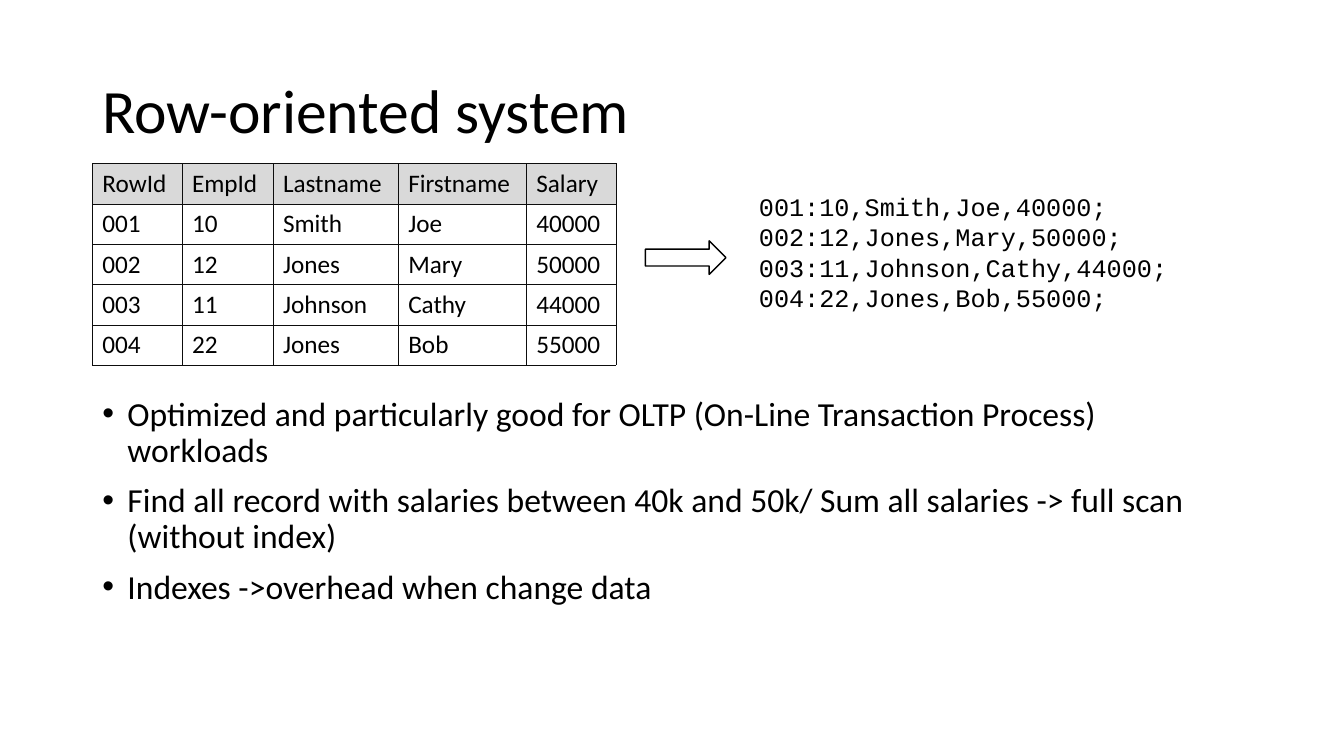
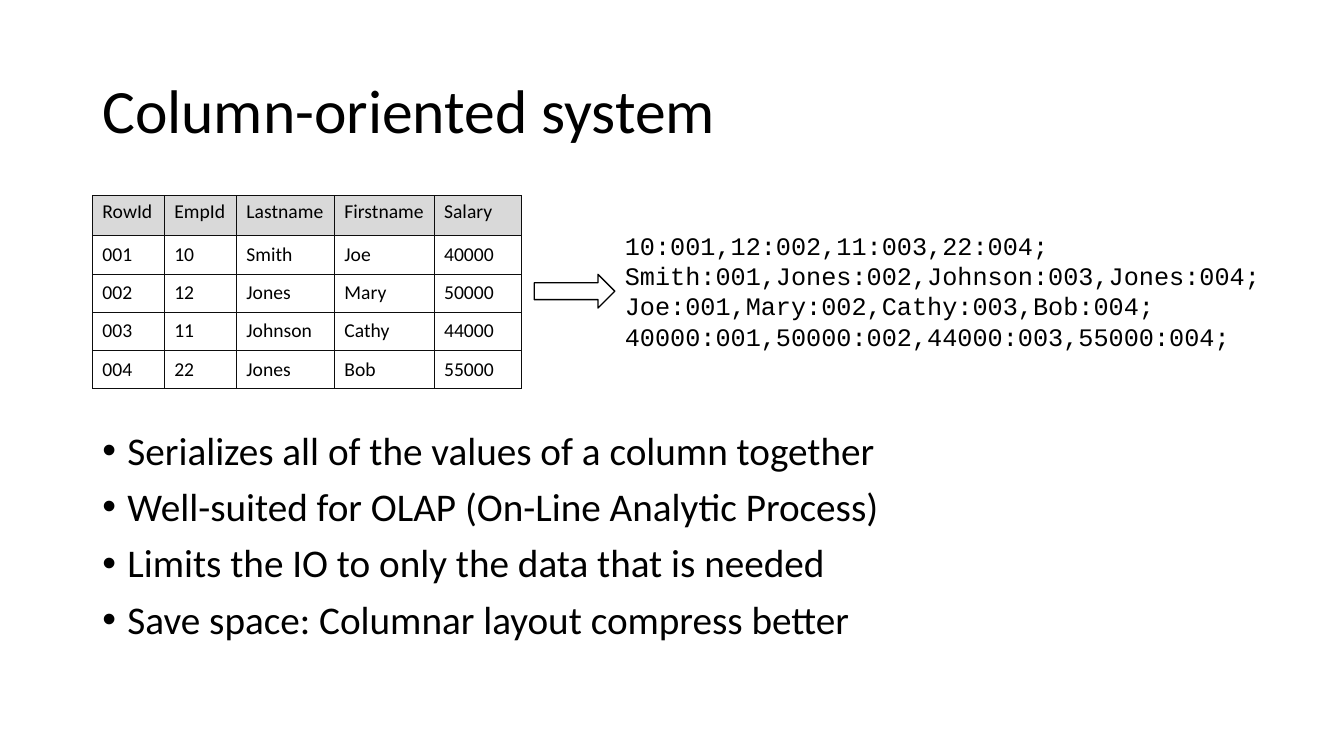
"""Build two slides that compare row-oriented and column-oriented storage."""
from lxml.etree import SubElement
from pptx import Presentation
from pptx.dml.color import RGBColor
from pptx.enum.shapes import MSO_SHAPE as Preset
from pptx.enum.text import MSO_ANCHOR as Anchor, MSO_AUTO_SIZE as AutoSize
from pptx.oxml import parse_xml
from pptx.oxml.ns import nsdecls, qn
from pptx.util import Pt

BLACK, WHITE, HEADER_FILL, GRID = "000000", "FFFFFF", "D9D9D9", "0D0D0D"
SANS, MONO = "Calibri", "Courier New"
MARGIN, CONTENT_WIDTH, BODY_BOTTOM = 66, 828, 486
HEADER_HEIGHT, ROW_HEIGHT = 28.8, 27.3
ARROW_SIZE = (57.6, 24)
PROSE = {"line_spacing": 0.9}
BULLETED = {"line_spacing": 0.9, "space_before": Pt(10)}

EMPLOYEES = [
    ("RowId", "EmpId", "Lastname", "Firstname", "Salary"),
    ("001", "10", "Smith", "Joe", "40000"),
    ("002", "12", "Jones", "Mary", "50000"),
    ("003", "11", "Johnson", "Cathy", "44000"),
    ("004", "22", "Jones", "Bob", "55000"),
]

SLIDES = [
    {
        "title": "Row-oriented system",
        "table": {"top": 116.8, "size": 18, "widths": (64, 65, 89.5, 91.5, 64)},
        "arrow": (461, 172),
        "records": {
            "box": (535, 133.2, 307.5, 94.3),
            "lines": [
                "001:10,Smith,Joe,40000;",
                "002:12,Jones,Mary,50000;",
                "003:11,Johnson,Cathy,44000;",
                "004:22,Jones,Bob,55000;",
            ],
        },
        "bullets": {
            "top": 280,
            "size": 24,
            "lines": [
                "Optimized and particularly good for OLTP (On-Line Transaction Process) workloads",
                "Find all record with salaries between 40k and 50k/ Sum all salaries -> full scan (without index)",
                "Indexes ->overhead when change data",
            ],
        },
    },
    {
        "title": "Column-oriented system",
        "table": {"top": 139.5, "size": 14, "widths": (51.3, 51.6, 70, 71.2, 62)},
        "arrow": (381.6, 196),
        "records": {
            "box": (439.2, 160.8, 470, 94.3),
            "lines": [
                "10:001,12:002,11:003,22:004;",
                "Smith:001,Jones:002,Johnson:003,Jones:004;",
                "Joe:001,Mary:002,Cathy:003,Bob:004;",
                "40000:001,50000:002,44000:003,55000:004;",
            ],
        },
        "bullets": {
            "top": 304.5,
            "size": 28,
            "lines": [
                "Serializes all of the values of a column together",
                "Well-suited for OLAP (On-Line Analytic Process)",
                "Limits the IO to only the data that is needed",
                "Save space: Columnar layout compress better",
            ],
        },
    },
]


def color(value):
    """Turn a hex string into a colour."""
    return RGBColor.from_string(value)


def points(*lengths):
    """Turn numbers into lengths in points."""
    return [Pt(length) for length in lengths]


def apply_format(target, values):
    """Set each attribute named in a dict of format values."""
    for name, value in values.items():
        setattr(target, name, value)


def write_lines(frame, lines, font_name, size, paragraph_format):
    """Write one formatted paragraph per line and return the paragraphs."""
    for index, line in enumerate(lines):
        paragraph = frame.paragraphs[0] if index == 0 else frame.add_paragraph()
        apply_format(paragraph, paragraph_format)
        run = paragraph.add_run()
        run.text = line
        apply_format(run.font, {"name": font_name, "size": Pt(size)})
        run.font.color.rgb = color(BLACK)
    return frame.paragraphs


def add_text(slide, box, lines, font_name, size, frame_format, paragraph_format):
    """Add a text box and return its paragraphs."""
    frame = slide.shapes.add_textbox(*points(*box)).text_frame
    apply_format(frame, frame_format)
    return write_lines(frame, lines, font_name, size, paragraph_format)


def add_title(slide, text):
    """Add the title that heads each slide."""
    frame_format = {"word_wrap": True, "vertical_anchor": Anchor.MIDDLE}
    box = (MARGIN, 28.8, CONTENT_WIDTH, 104.4)
    add_text(slide, box, [text], SANS, 44, frame_format, PROSE)


def add_bullets(slide, top, size, lines):
    """Add the bulleted list that ends at the common bottom edge."""
    box = (MARGIN, top, CONTENT_WIDTH, BODY_BOTTOM - top)
    for paragraph in add_text(slide, box, lines, SANS, size, {"word_wrap": True}, BULLETED):
        properties = paragraph._p.get_or_add_pPr()
        properties.set("marL", str(Pt(18)))
        properties.set("indent", str(Pt(-18)))
        SubElement(properties, qn("a:buFont"), typeface="Arial")
        SubElement(properties, qn("a:buChar"), char="•")


def add_records(slide, box, lines):
    """Add the serialized records in a monospaced font."""
    frame_format = {"word_wrap": False, "auto_size": AutoSize.SHAPE_TO_FIT_TEXT}
    add_text(slide, box, lines, MONO, 18, frame_format, {})


def add_borders(cell):
    """Draw a thin line on all four sides of a cell."""
    properties = cell._tc.get_or_add_tcPr()
    for index, side in enumerate("LRTB"):
        properties.insert(index, parse_xml(
            f'<a:ln{side} {nsdecls("a")} w="{Pt(0.25)}"><a:solidFill>'
            f'<a:srgbClr val="{GRID}"/></a:solidFill></a:ln{side}>'))


def add_employee_table(slide, top, size, widths):
    """Add the employee table with a grey header row."""
    heights = [HEADER_HEIGHT] + [ROW_HEIGHT] * (len(EMPLOYEES) - 1)
    box = points(MARGIN, top, sum(widths), sum(heights))
    table = slide.shapes.add_table(len(heights), len(widths), *box).table
    apply_format(table, {"first_row": False, "horz_banding": False})
    for column, width in zip(table.columns, widths):
        column.width = Pt(width)
    for index, (row, height, values) in enumerate(zip(table.rows, heights, EMPLOYEES)):
        row.height = Pt(height)
        for cell, value in zip(row.cells, values):
            if index == 0:
                cell.fill.solid()
                cell.fill.fore_color.rgb = color(HEADER_FILL)
            else:
                cell.fill.background()
                cell.vertical_anchor = Anchor.MIDDLE
            add_borders(cell)
            write_lines(cell.text_frame, [value], SANS, size, {})


def add_arrow(slide, left, top):
    """Add the block arrow from the table to the records."""
    shape = slide.shapes.add_shape(Preset.RIGHT_ARROW, *points(left, top, *ARROW_SIZE))
    shape.shadow.inherit = False
    shape.fill.solid()
    shape.fill.fore_color.rgb = color(WHITE)
    shape.line.color.rgb = color(BLACK)
    shape.line.width = Pt(1)


def main():
    """Build and save the presentation."""
    presentation = Presentation()
    apply_format(presentation, {"slide_width": Pt(960), "slide_height": Pt(540)})
    for content in SLIDES:
        slide = presentation.slides.add_slide(presentation.slide_layouts[6])
        add_title(slide, content["title"])
        add_bullets(slide, **content["bullets"])
        add_records(slide, **content["records"])
        add_employee_table(slide, **content["table"])
        add_arrow(slide, *content["arrow"])
    presentation.save("out.pptx")


if __name__ == "__main__":
    main()
